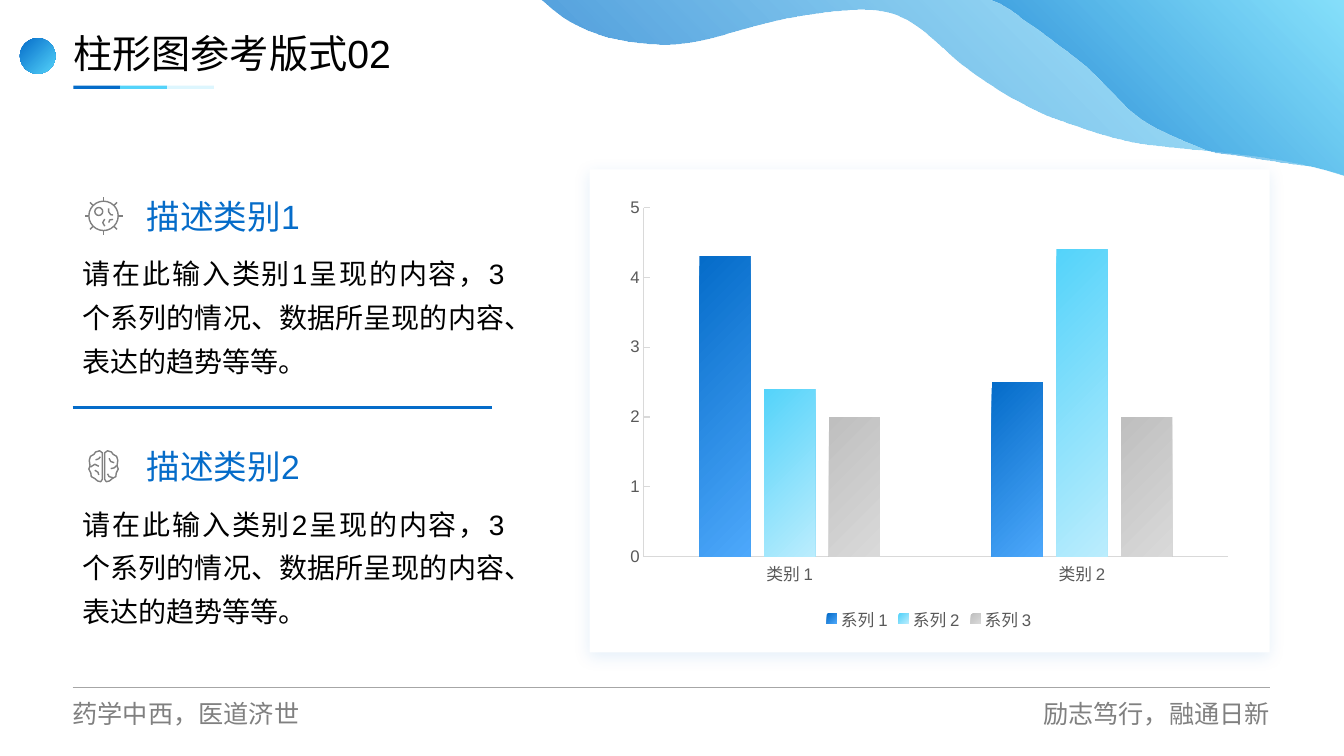
from math import cos, pi, sin

from lxml import etree
from pptx import Presentation
from pptx.chart.data import CategoryChartData
from pptx.dml.color import RGBColor
from pptx.enum.chart import XL_CHART_TYPE, XL_LEGEND_POSITION, XL_TICK_MARK
from pptx.enum.shapes import MSO_CONNECTOR, MSO_SHAPE
from pptx.enum.text import MSO_ANCHOR, PP_ALIGN
from pptx.oxml.ns import qn
from pptx.util import Cm, Pt

RECT, OVAL = MSO_SHAPE.RECTANGLE, MSO_SHAPE.OVAL
LINE = MSO_CONNECTOR.STRAIGHT
LEFT, RIGHT, JUST = PP_ALIGN.LEFT, PP_ALIGN.RIGHT, PP_ALIGN.JUSTIFY
MIDDLE = MSO_ANCHOR.MIDDLE
COLUMN = XL_CHART_TYPE.COLUMN_CLUSTERED
BOTTOM = XL_LEGEND_POSITION.BOTTOM
NONE, INSIDE = XL_TICK_MARK.NONE, XL_TICK_MARK.INSIDE

HUES = {"blue": "056CC9", "sky": "54D3FA", "pale": "DDF6FE", "mid": "4DA8FB",
        "ice": "BBEDFD", "silver": "BFBFBF", "axis": "D9D9D9", "rule": "A6A6A6",
        "gray": "808080", "label": "595959", "black": "000000", "white": "FFFFFF"}
CJK, LATIN = "Noto Sans CJK SC", "Arial"

BACK = [(20.26, 4.42), (20.02, 4.34), [
    (19.58, 4.22), (19.05, 4.09), (18.39, 3.99), (17.5, 3.84), (15.9, 3.73), (15.09, 3.61),
    (14.25, 3.45), (13.94, 3.33), (13.44, 3.15), (12.95, 3), (12.55, 2.84), (12.09, 2.59),
    (11.66, 2.36), (11.28, 2.13), (10.77, 1.75), (10.24, 1.4), (9.63, 0.61), (8.92, 0.38),
    (8.2, 0.15), (7.44, 0.3), (6.45, 0.43), (5.49, 0.56), (4.06, 1.19), (3, 1.14),
    (1.93, 1.07), (0.94, 0.89), (0.08, 0.05)], (0, 0)]
FRONT = [(20.26, 4.42), (19.76, 4.27), [
    (19.35, 4.14), (19, 4.14), (18.54, 4.06), (18.08, 3.99), (17.6, 3.91), (17.02, 3.84),
    (16.92, 3.78), (16.97, 3.86), (16.64, 3.71), (16.33, 3.58), (15.65, 3.33), (15.16, 3),
    (14.68, 2.67), (14.27, 2.11), (13.79, 1.7), (13.31, 1.3), (12.67, 0.84), (12.27, 0.56),
    (11.96, 0.33), (11.81, 0.23), (11.58, 0.1)], (11.33, 0)]
SPOTS = [[(0.13, -0.19), (0.13, -0.1), (0.18, -0.03), (0.24, -0.02)],
         [(0.13, 0.17), (0.16, 0.1), (0.24, 0.09)],
         [(0.03, 0.08), (-0.02, 0.17), (0.03, 0.26)]]
LOBE = [(0.03, -0.34), (0.1, -0.39), (0.2, -0.36), (0.24, -0.3), (0.33, -0.25),
        (0.36, -0.15), (0.34, -0.01), (0.37, 0.07), (0.32, 0.17), (0.31, 0.26),
        (0.22, 0.31), (0.15, 0.37), (0.07, 0.39), (0.03, 0.33)]
FOLDS = [[(0.14, -0.2), (0.18, -0.12), (0.27, -0.09)],
         [(0.18, 0.06), (0.27, 0.04), (0.33, -0.02)],
         [(0.1, 0.19), (0.14, 0.26), (0.24, 0.29)],
         [(-0.2, -0.16), (-0.12, -0.19), (-0.08, -0.24)],
         [(-0.33, 0.02), (-0.22, -0.05), (-0.12, 0)],
         [(-0.22, 0.1), (-0.14, 0.15), (-0.12, 0.22)]]


def hue(name):
    return RGBColor.from_string(HUES[name])


def blend(fill, ends, angle):
    fill.gradient()
    fill.gradient_angle = 360 - angle
    for stop, name in zip(fill.gradient_stops, ends):
        stop.color.rgb = hue(name)


def add_run(para, text, size, color, font):
    run = para.add_run()
    run.text = text
    run.font.size, run.font.name = Pt(size), font
    run.font.color.rgb = hue(color)
    east = etree.SubElement(run.font._element, qn("a:ea"))
    east.set("typeface", CJK)


def add_text(slide, box, runs, align=LEFT, inset=True, space=None):
    frame = slide.shapes.add_textbox(*map(Cm, box)).text_frame
    frame.word_wrap = True
    if not inset:
        frame.margin_left = frame.margin_right = frame.margin_top = frame.margin_bottom = 0
    para = frame.paragraphs[0]
    para.alignment, para.line_spacing = align, space
    for run in runs:
        add_run(para, *run)


def add_form(slide, kind, box, color=None):
    form = slide.shapes.add_shape(kind, *map(Cm, box))
    form.shadow.inherit = False
    form.line.fill.background()
    if color:
        form.fill.solid()
        form.fill.fore_color.rgb = hue(color)
    else:
        form.fill.background()
    return form


def add_line(slide, start, end, color, width):
    line = slide.shapes.add_connector(LINE, *map(Cm, start + end))
    line.line.color.rgb, line.line.width = hue(color), Pt(width)
    etree.SubElement(line._element.spPr, qn("a:effectLst"))


def add_path(slide, x, y, points, close):
    spots = [(Cm(x + a), Cm(y + b)) for a, b in points]
    pen = slide.shapes.build_freeform(*spots[0])
    pen.add_line_segments(spots[1:], close=close)
    form = pen.convert_to_shape()
    form.shadow.inherit = False
    return form


def add_ink(form):
    form.fill.background()
    form.line.color.rgb, form.line.width = hue("gray"), Pt(1)


def trace(parts):
    points = []
    for part in parts:
        if isinstance(part, tuple):
            points.append(part)
            continue
        for i in range(0, len(part), 3):
            knots = [points[-1]] + part[i:i + 3]
            for step in range(1, 13):
                t = step / 12
                mix = ((1 - t) ** 3, 3 * t * (1 - t) ** 2, 3 * t * t * (1 - t), t ** 3)
                points.append(tuple(sum(m * k[n] for m, k in zip(mix, knots)) for n in (0, 1)))
    return points


def add_waves(slide, x, y, w):
    for parts in (BACK, FRONT):
        wave = add_path(slide, x, y, trace(parts + [(w, 0)]), True)
        wave.line.fill.background()
        blend(wave.fill, ("blue", "sky"), 315)
        for node, alpha in zip(wave._element.spPr.iter(qn("a:srgbClr")), (77, 46)):
            etree.SubElement(node, qn("a:alpha")).set("val", str(alpha * 1000))


def add_head(slide, x, y, w, h):
    mark = add_form(slide, OVAL, (x - 1.35, y + 0.35, 0.9, 0.9), "blue")
    blend(mark.fill, ("blue", "sky"), 45)
    title = slide.shapes.title
    title.left, title.top, title.width, title.height = map(Cm, (x, y, w, h))
    frame = title.text_frame
    frame.margin_left = frame.margin_right = 0
    frame.vertical_anchor, frame.word_wrap = MIDDLE, True
    para = frame.paragraphs[0]
    para.alignment, para.line_spacing = LEFT, 0.9
    add_run(para, "柱形图参考版式", 28, "black", CJK)
    add_run(para, "02", 28, "black", LATIN)
    for i, color in enumerate(("blue", "sky", "pale")):
        add_form(slide, RECT, (x + i * 1.18, y + 1.55, 1.18, 0.08), color)


def add_germ(slide, x, y):
    for r, dx, dy in ((0.37, 0, 0), (0.1, -0.12, -0.11)):
        add_ink(add_form(slide, OVAL, (x + dx - r, y + dy - r, 2 * r, 2 * r)))
    for i in range(8):
        a, b = cos(i * pi / 4), sin(i * pi / 4)
        add_line(slide, (x + 0.38 * a, y + 0.38 * b), (x + 0.48 * a, y + 0.48 * b), "gray", 1)
    for spot in SPOTS:
        add_ink(add_path(slide, x, y, spot, False))


def add_brain(slide, x, y):
    for side in (1, -1):
        add_ink(add_path(slide, x, y, [(side * a, b) for a, b in LOBE], True))
    for fold in FOLDS:
        add_ink(add_path(slide, x, y, fold, False))


def add_note(slide, x, y, w, digit, icon):
    icon(slide, x + 0.78, y + 0.64)
    add_text(slide, (x + 1.62, y, 10.08, 1.27),
             [("描述类别", 24, "blue", CJK), (digit, 24, "blue", LATIN)])
    words = f"请在此输入类别{digit}呈现的内容，3个系列的情况、数据所呈现的内容、表达的趋势等等。"
    add_text(slide, (x, y + 1.29, w, 3.48), [(words, 20, "black", LATIN)], JUST, space=1.3)


def style_font(font, size, color):
    font.size, font.name, font.color.rgb = Pt(size), LATIN, hue(color)


def add_card(slide, x, y, w, h):
    card = add_form(slide, RECT, (x, y, w, h), "white")
    glow = etree.SubElement(card._element.spPr.find(qn("a:effectLst")), qn("a:outerShdw"),
                            blurRad=str(Pt(12)), dist=str(Pt(3)), dir="5400000", rotWithShape="0")
    tint = etree.SubElement(glow, qn("a:srgbClr"), val=HUES["blue"])
    etree.SubElement(tint, qn("a:alpha"), val="10000")
    data = CategoryChartData()
    data.categories = ["类别 1", "类别 2"]
    for i, vals in enumerate(((4.3, 2.5), (2.4, 4.4), (2, 2)), 1):
        data.add_series(f"系列 {i}", vals)
    box = map(Cm, (x + 0.71, y + 0.51, w - 1.45, h - 0.94))
    chart = slide.shapes.add_chart(COLUMN, *box, data).chart
    style_font(chart.font, 10, "black")
    chart.has_title, chart.has_legend = False, True
    chart.legend.position, chart.legend.include_in_layout = BOTTOM, False
    style_font(chart.legend.font, 12, "label")
    for axis, tick in ((chart.category_axis, NONE), (chart.value_axis, INSIDE)):
        axis.has_major_gridlines = False
        axis.major_tick_mark, axis.minor_tick_mark = tick, NONE
        axis.format.line.color.rgb, axis.format.line.width = hue("axis"), Pt(0.75)
        style_font(axis.tick_labels.font, 12, "label")
    scale = chart.value_axis
    scale.minimum_scale, scale.maximum_scale, scale.major_unit = 0, 5, 1
    plot = chart.plots[0]
    plot.gap_width, plot.overlap, plot.vary_by_categories = 219, -27, False
    for row, ends in zip(plot.series, (("blue", "mid"), ("sky", "ice"), ("silver", "axis"))):
        blend(row.format.fill, ends, 45)


def add_foot(slide, x, y, w):
    add_line(slide, (x, y), (x + w, y), "rule", 0.5)
    for left, words, align in ((x, "药学中西，医道济世", LEFT),
                               (x + w - 6.71, "励志笃行，融通日新", RIGHT)):
        add_text(slide, (left, y + 0.28, 6.71, 0.76), [(words, 18, "gray", CJK)], align, False)


def main():
    deck = Presentation()
    deck.slide_width, deck.slide_height = Cm(33.87), Cm(19.05)
    slide = deck.slides.add_slide(deck.slide_layouts[5])
    add_foot(slide, 1.83, 17.32, 30.17)
    add_waves(slide, 13.61, 0, 20.26)
    add_head(slide, 1.85, 0.61, 21.87, 1.57)
    add_card(slide, 14.86, 4.27, 17.14, 12.17)
    for i, icon in enumerate((add_germ, add_brain)):
        add_note(slide, 1.83, 4.8 + i * 6.31, 11.13, str(i + 1), icon)
    add_line(slide, (1.83, 10.26), (12.4, 10.26), "blue", 2)
    deck.save("out.pptx")


if __name__ == "__main__":
    main()
